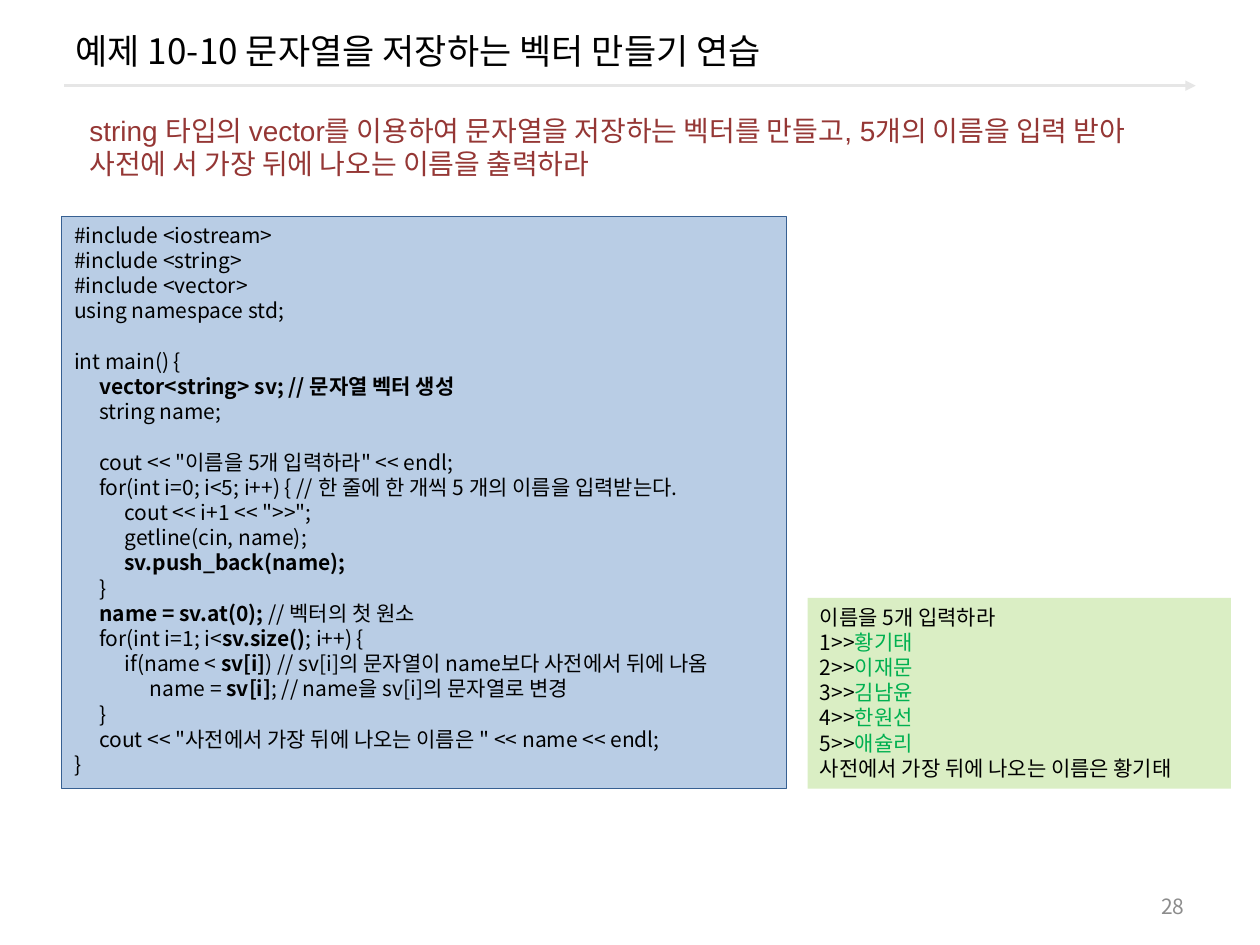
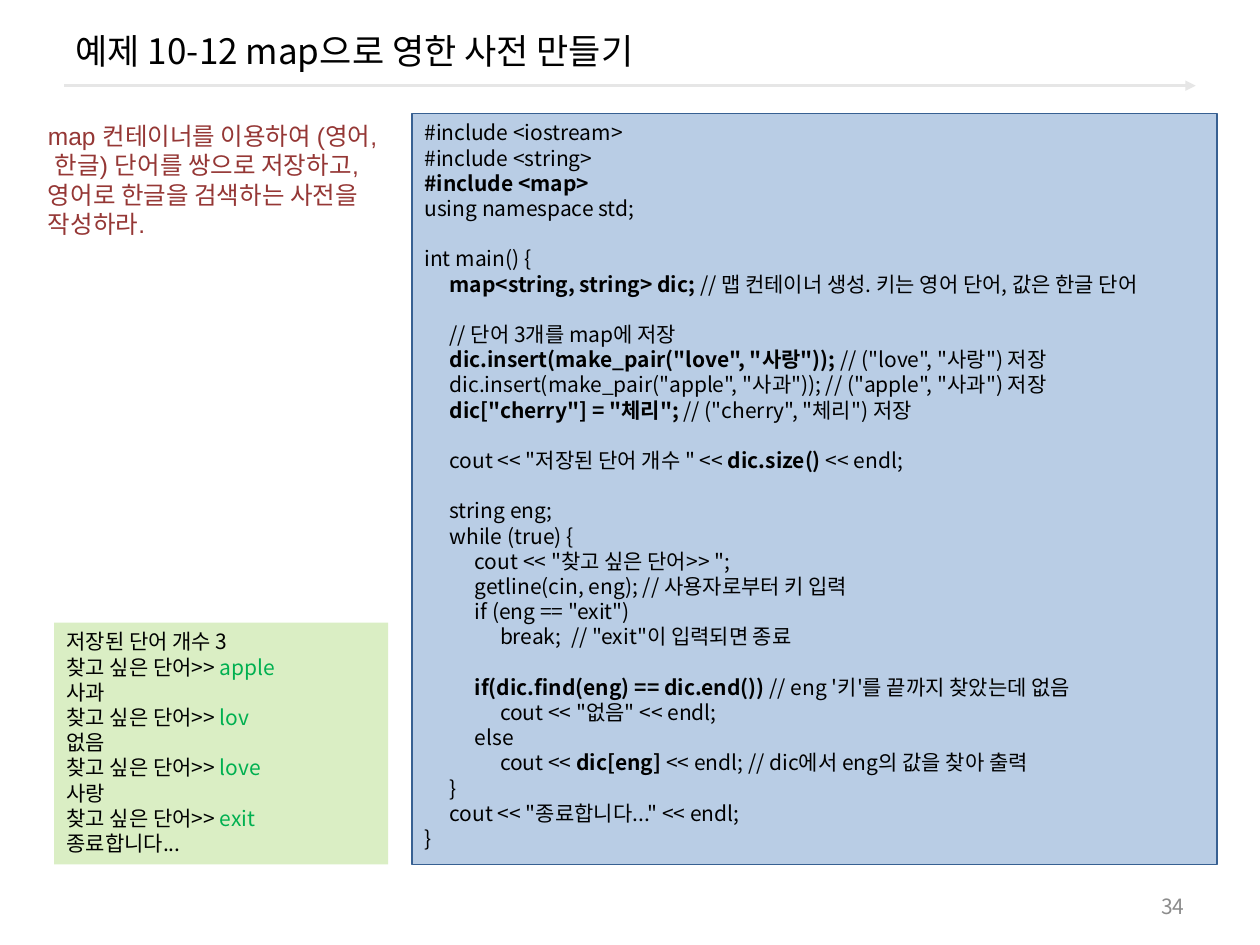
import pptx
import pptx.util
import pptx.dml.color
import pptx.enum.shapes
import pptx.enum.text
import pptx.oxml.ns
import lxml.etree

# Content, line by line: four spaces indent a code line, ** marks emphasis
VECTOR_CODE = [
    '#include <iostream>',
    '#include <string>',
    '#include <vector>',
    'using namespace std;',
    '',
    'int main() {',
    '    **vector<string> sv; // 문자열 벡터 생성**',
    '    string name;',
    '',
    '    cout << "이름을 5개 입력하라" << endl;',
    '    for(int i=0; i<5; i++) { // 한 줄에 한 개씩 5 개의 이름을 입력받는다.',
    '        cout << i+1 << ">>";',
    '        getline(cin, name);',
    '        **sv.push_back(name);**',
    '    }',
    '    **name = sv.at(0); **// 벡터의 첫 원소',
    '    for(int i=1; i<**sv.size()**; i++) {',
    '        if(name < **sv[i]**) // sv[i]의 문자열이 name보다 사전에서 뒤에 나옴',
    '            name = **sv[i]**; // name을 sv[i]의 문자열로 변경',
    '    }',
    '    cout << "사전에서 가장 뒤에 나오는 이름은 " << name << endl;',
    '}',
]
VECTOR_OUTPUT = [
    '이름을 5개 입력하라',
    '1>>**황기태**',
    '2>>**이재문**',
    '3>>**김남윤**',
    '4>>**한원선**',
    '5>>**애슐리**',
    '사전에서 가장 뒤에 나오는 이름은 황기태',
]
MAP_CODE = [
    '#include <iostream>',
    '#include <string>',
    '**#include <map>**',
    'using namespace std;',
    '',
    'int main() {',
    '    **map<string, string> dic; **// 맵 컨테이너 생성. 키는 영어 단어, 값은 한글 단어',
    '',
    '    // 단어 3개를 map에 저장',
    '    **dic.insert(make_pair("love", "사랑")); **// ("love", "사랑") 저장',
    '    dic.insert(make_pair("apple", "사과")); // ("apple", "사과") 저장',
    '    **dic["cherry"] = "체리"; **// ("cherry", "체리") 저장',
    '',
    '    cout << "저장된 단어 개수 " << **dic.size() **<< endl;',
    '',
    '    string eng;',
    '    while (true) {',
    '        cout << "찾고 싶은 단어>> ";',
    '        getline(cin, eng); // 사용자로부터 키 입력',
    '        if (eng == "exit")',
    '            break;  // "exit"이 입력되면 종료',
    '',
    '        **if(dic.find(eng) == dic.end()) **// eng \'키\'를 끝까지 찾았는데 없음',
    '            cout << "없음" << endl;',
    '        else',
    '            cout << **dic[eng] **<< endl; // dic에서 eng의 값을 찾아 출력',
    '    }',
    '    cout << "종료합니다..." << endl;',
    '}',
]
MAP_OUTPUT = [
    '저장된 단어 개수 3',
    '찾고 싶은 단어>> **apple**',
    '사과',
    '찾고 싶은 단어>> **lov**',
    '없음',
    '찾고 싶은 단어>> **love**',
    '사랑',
    '찾고 싶은 단어>> **exit**',
    '종료합니다...',
]

# Panels are (lines, left, width); every panel of a slide ends at "bottom"
SLIDES = [
    {"title": "예제 10-10 문자열을 저장하는 벡터 만들기 연습", "number": "28",
     "task": "string 타입의 vector를 이용하여 문자열을 저장하는 벡터를 만들고, 5개의 이름을 "
             "입력 받아 사전에 서 가장 뒤에 나오는 이름을 출력하라",
     "task_at": (0.61, 0.85, 8.76, 0.64), "task_size": 16, "bottom": 6.26,
     "code": (VECTOR_CODE, 0.49, 5.75), "output": (VECTOR_OUTPUT, 6.41, 3.36)},
    {"title": "예제 10-12 map으로 영한 사전 만들기", "number": "34",
     "task": "map 컨테이너를 이용하여 (영어, 한글) 단어를 쌍으로 저장하고, "
             "영어로 한글을 검색하는 사전을 작성하라.",
     "task_at": (0.28, 0.91, 2.76, 1.04), "task_size": 14, "bottom": 6.86,
     "code": (MAP_CODE, 3.27, 6.39), "output": (MAP_OUTPUT, 0.43, 2.65)},
]

# Shared look
COLORS = {"text": "000000", "task": "953735", "number": "8C8C8C", "rule": "E6E6E6",
          "code": "B9CDE5", "code_edge": "376092", "output": "DAEEC4", "typed": "00B050"}
HANGUL, LATIN = "Noto Sans CJK KR", "Arial"
TITLE_AT = (0.5, 0.08, 9, 0.64)
NUMBER_AT = (7.17, 7.03, 2.33, 0.32)
RULE_AT = (0.51, 0.68, 9.49, 0.68)
CODE_SIZE, LEADING = 12, 1.2
PANEL_ROW = LEADING * CODE_SIZE / 72 * 1.01
INSET, INDENT = 0.05, 0.2
ALIGN = pptx.enum.text.PP_ALIGN
ANCHOR = pptx.enum.text.MSO_ANCHOR
PLAIN = {"size": CODE_SIZE, "color": "text", "name": HANGUL, "bold": False}


def inches(lengths):
    return [pptx.util.Inches(length) for length in lengths]


def rgb(key):
    return pptx.dml.color.RGBColor.from_string(COLORS[key])


def set_all(target, values):
    for name, value in values.items():
        setattr(target, name, value)


def add_span(para, text, look):
    span = para.add_run()
    span.text = text
    set_all(span.font, {"size": pptx.util.Pt(look["size"]), "name": look["name"],
                        "bold": look["bold"]})
    span.font.color.rgb = rgb(look["color"])
    asian = lxml.etree.SubElement(span.font._element, pptx.oxml.ns.qn("a:ea"))
    asian.set("typeface", HANGUL)


def fill_text(box, lines, look, emphasis=None, anchor=ANCHOR.TOP, align=ALIGN.LEFT):
    frame = box.text_frame
    set_all(frame, {"word_wrap": True, "vertical_anchor": anchor,
                    "auto_size": pptx.enum.text.MSO_AUTO_SIZE.NONE})
    set_all(frame, dict.fromkeys(("margin_left", "margin_right"), pptx.util.Inches(0.1)))
    set_all(frame, dict.fromkeys(("margin_top", "margin_bottom"), pptx.util.Inches(INSET)))
    leading = look["size"] * LEADING
    para, gap = None, 0
    for line in lines:
        if not line:  # an empty line becomes space above the next one
            gap += leading
            continue
        para = frame.add_paragraph() if para else frame.paragraphs[0]
        set_all(para, {"alignment": align, "line_spacing": pptx.util.Pt(leading),
                       "space_before": pptx.util.Pt(gap)})
        gap = 0
        code = line.lstrip(" ")
        level = (len(line) - len(code)) // 4
        settings = para._p.get_or_add_pPr()
        settings.set("marL", str(pptx.util.Inches(INDENT * level)))
        settings.set("indent", "0")
        lxml.etree.SubElement(settings, pptx.oxml.ns.qn("a:buNone"))
        for index, part in enumerate(code.split("**")):
            if part:
                add_span(para, part, {**look, **emphasis} if index % 2 else look)


def place(box, at):
    set_all(box, dict(zip(("left", "top", "width", "height"), inches(at))))


def add_rule(page):
    rule = page.shapes.add_connector(pptx.enum.shapes.MSO_CONNECTOR.STRAIGHT, *inches(RULE_AT))
    rule.line.color.rgb = rgb("rule")
    rule.line.width = pptx.util.Pt(1.5)
    outline = rule._element.spPr.find(pptx.oxml.ns.qn("a:ln"))
    arrow = lxml.etree.SubElement(outline, pptx.oxml.ns.qn("a:tailEnd"))
    arrow.set("type", "triangle")
    lxml.etree.SubElement(rule._element.spPr, pptx.oxml.ns.qn("a:effectLst"))


def add_panel(page, panel, bottom, fill, emphasis, edge=None):
    lines, left, width = panel
    height = len(lines) * PANEL_ROW + 2 * INSET
    box = page.shapes.add_shape(pptx.enum.shapes.MSO_SHAPE.RECTANGLE,
                                *inches((left, bottom - height, width, height)))
    box.shadow.inherit = False
    box.fill.solid()
    box.fill.fore_color.rgb = rgb(fill)
    if edge:
        box.line.color.rgb = rgb(edge)
        box.line.width = pptx.util.Pt(0.75)
    else:
        box.line.fill.background()
    fill_text(box, lines, PLAIN, emphasis)


def build_slide(deck, content):
    page = deck.slides.add_slide(deck.slide_layouts[1])
    add_rule(page)

    # Title, task and slide number
    title, task = page.placeholders
    place(title, TITLE_AT)
    fill_text(title, [content["title"]], {**PLAIN, "size": 20}, anchor=ANCHOR.MIDDLE)
    place(task, content["task_at"])
    fill_text(task, [content["task"]], {**PLAIN, "size": content["task_size"],
                                        "color": "task", "name": LATIN})
    number = page.shapes.add_textbox(*inches(NUMBER_AT))
    fill_text(number, [content["number"]], {**PLAIN, "color": "number"},
              anchor=ANCHOR.MIDDLE, align=ALIGN.RIGHT)

    # Program and its output
    add_panel(page, content["code"], content["bottom"], "code", {"bold": True}, "code_edge")
    add_panel(page, content["output"], content["bottom"], "output", {"color": "typed"})


def main():
    deck = pptx.Presentation()
    deck.slide_width, deck.slide_height = inches((10, 7.5))
    for content in SLIDES:
        build_slide(deck, content)
    deck.save("out.pptx")


if __name__ == "__main__":
    main()
